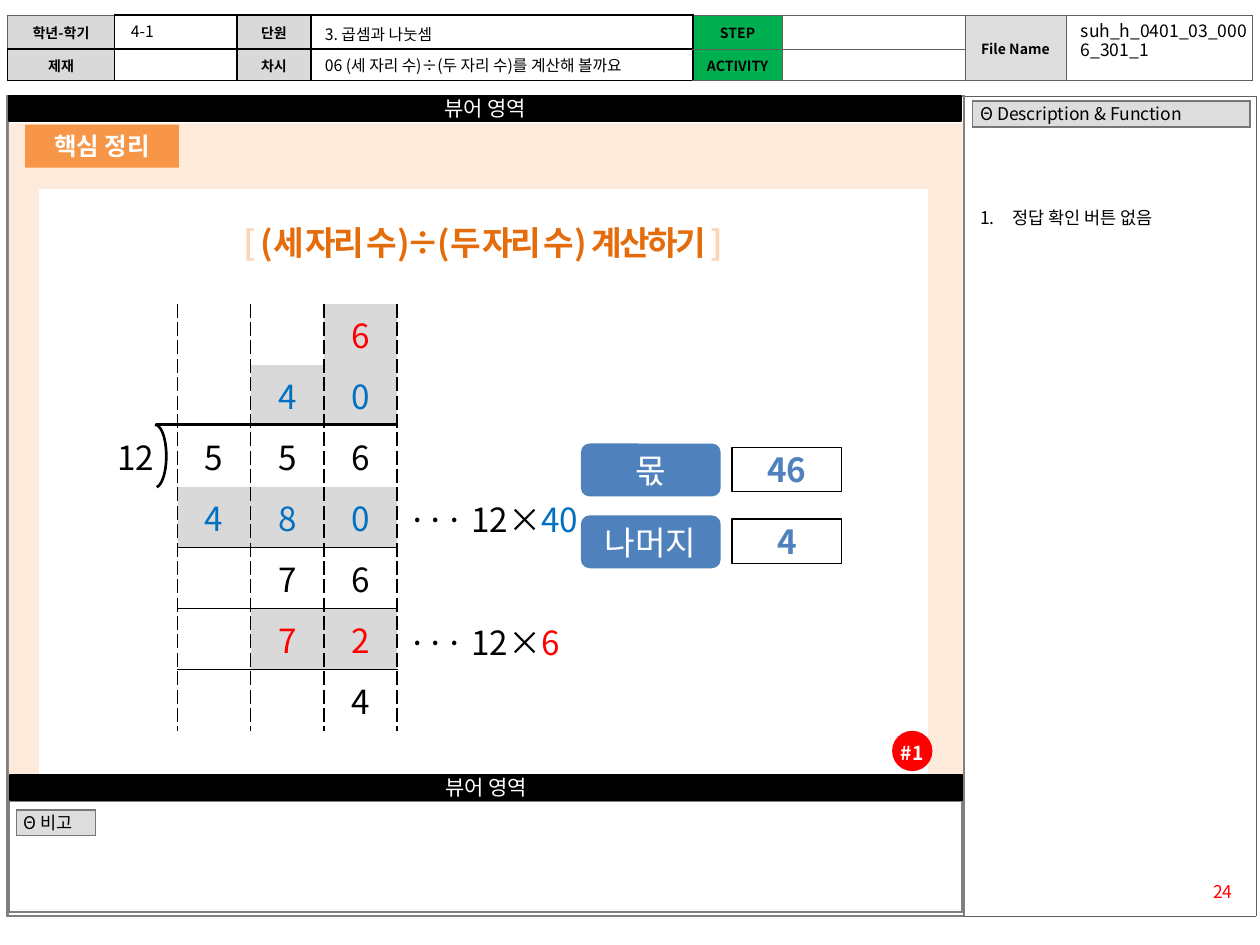
import pptx
import pptx.dml.color
import pptx.enum.shapes
import pptx.enum.text
import pptx.oxml.ns
import pptx.util
from lxml import etree
from pptx.util import Inches, Pt

FONT = "Noto Sans CJK KR"
BLACK, WHITE, GRAY = "000000", "FFFFFF", "D9D9D9"
RED, BLUE, BUTTON, GREEN = "FF0000", "0070C0", "4F81BD", "00B050"
NO_STYLE = "{2D5ABB26-0587-4C30-8999-92F81FD0307C}"
SHAPE = pptx.enum.shapes.MSO_SHAPE
ALIGN = pptx.enum.text.PP_ALIGN
ANCHOR = pptx.enum.text.MSO_ANCHOR
qn = pptx.oxml.ns.qn

HEADER_COLUMNS = [0.85, 0.97, 0.59, 3.03, 0.71, 1.45, 0.8, 1.48]
HEADER_ROWS = [0.27, 0.25]
HEADER = [
    [("학년-학기", GRAY), None, ("단원", GRAY), None, ("STEP", GREEN), None,
     ("File Name", "DDDDDD"), None],
    [("제재", GRAY), None, ("차시", GRAY), None, ("ACTIVITY", GREEN), None, None, None],
]
HEADER_VALUES = [
    ("4-1", (0.94, 0.13, 0.94, 0.24)),
    ("3. 곱셈과 나눗셈", (2.48, 0.15, 3.03, 0.24)),
    ("06 (세 자리 수)÷(두 자리 수)를 계산해 볼까요", (2.48, 0.4, 2.99, 0.24)),
]
SECTION_LABELS = [
    ("Θ 비고", (0.13, 6.43), 0.63, 0.2),
    ("Θ Description & Function", (7.72, 0.8), 2.2, 0.21),
]
VIEWER_BARS = [("뷰어 영역", (0.07, 0.76, 7.56, 0.2)), ("뷰어 영역", (0.08, 6.15, 7.56, 0.2))]
TITLE = [("[ ", "FCD5B5"), ("(세 자리 수)÷(두 자리 수) 계산하기 ", "E46C0A"), ("]", "FCD5B5")]

# Each row of the long division: cells, text colour, whether digits are shaded
DIVISION = [
    (["", "", "", "6"], RED, True),
    (["", "", "4", "0"], BLUE, True),
    (["12", "5", "5", "6"], BLACK, False),
    (["", "4", "8", "0"], BLUE, True),
    (["", "", "7", "6"], BLACK, False),
    (["", "", "7", "2"], RED, True),
    (["", "", "", "4"], BLACK, False),
]
SUBTRACTION_ROWS = (3, 5)
PRODUCTS = [("6", RED, 4.89), ("40", BLUE, 3.91)]
ANSWERS = [("몫", "46"), ("나머지", "4")]


def rgb(value):
    return pptx.dml.color.RGBColor.from_string(value)


def write_text(frame, text, size=10, color=BLACK, bold=False, align=ALIGN.LEFT,
               anchor=ANCHOR.MIDDLE, margins=(0.1, 0.05), spacing=None, tracking=None):
    """Write one paragraph; text is a string or a list of (text, colour) runs."""
    frame.word_wrap = True
    frame.vertical_anchor = anchor
    frame.margin_left = frame.margin_right = Inches(margins[0])
    frame.margin_top = frame.margin_bottom = Inches(margins[1])
    paragraph = frame.paragraphs[0]
    paragraph.alignment = align
    if spacing:
        paragraph.line_spacing = spacing
    for words, run_color in [(text, color)] if isinstance(text, str) else text:
        run = paragraph.add_run()
        run.text = words
        run.font.name, run.font.size, run.font.bold = FONT, Pt(size), bold
        run.font.color.rgb = rgb(run_color)
        properties = run.font._element
        etree.SubElement(properties, qn("a:ea"), typeface=FONT)
        if tracking:
            properties.set("spc", str(int(tracking * 100)))
    return paragraph


def add_box(shapes, place, text="", kind=SHAPE.RECTANGLE, fill=None, line=None,
            weight=1, **text_format):
    shape = shapes.add_shape(kind, *map(Inches, place))
    shape.shadow.inherit = False
    if fill:
        shape.fill.solid()
        shape.fill.fore_color.rgb = rgb(fill)
    else:
        shape.fill.background()
    if line:
        shape.line.color.rgb = rgb(line)
        shape.line.width = Pt(weight)
    else:
        shape.line.fill.background()
    if text:
        write_text(shape.text_frame, text, **{"align": ALIGN.CENTER, **text_format})
    return shape


def add_label(shapes, place, text, **text_format):
    label = shapes.add_textbox(*map(Inches, place))
    return write_text(label.text_frame, text, **text_format)


def add_grid(shapes, position, columns, rows):
    """Add a table without a style."""
    size = Inches(sum(columns)), Inches(sum(rows))
    table = shapes.add_table(len(rows), len(columns), *map(Inches, position), *size).table
    table.first_row = table.horz_banding = False
    table._tbl.tblPr.find(qn("a:tableStyleId")).text = NO_STYLE
    for column, width in zip(table.columns, columns):
        column.width = Inches(width)
    for row, height in zip(table.rows, rows):
        row.height = Inches(height)
    return table


def fill_cell(cell, text="", borders=None, fill=None, margin=0.1, **text_format):
    """Borders map a side (L, R, T, B) to (colour, points, dash)."""
    properties = cell._tc.get_or_add_tcPr()
    for side in "LRTB":
        if borders and side in borders:
            color, points, dash = borders[side]
            line = etree.SubElement(properties, qn("a:ln" + side), w=str(int(Pt(points))))
            solid = etree.SubElement(line, qn("a:solidFill"))
            etree.SubElement(solid, qn("a:srgbClr"), val=color)
            etree.SubElement(line, qn("a:prstDash"), val=dash)
    if fill:
        cell.fill.solid()
        cell.fill.fore_color.rgb = rgb(fill)
    else:
        cell.fill.background()
    cell.vertical_anchor = ANCHOR.MIDDLE
    if text:
        write_text(cell.text_frame, text, **text_format)
    else:
        etree.SubElement(cell.text_frame.paragraphs[0]._p, qn("a:endParaRPr"), sz="800")
    cell.margin_left = cell.margin_right = Inches(margin)
    cell.margin_top = cell.margin_bottom = 0


def all_sides(color, points):
    return dict.fromkeys("LRTB", (color, points, "solid"))


def add_frame(shapes):
    outer = add_grid(shapes, (0.06, 0.76), [7.59, 2.32], [6.51])
    fill_cell(outer.cell(0, 0), borders=all_sides("808080", 1.5))
    fill_cell(outer.cell(0, 1), borders={**all_sides("5F5F5F", 0.25), "L": ("808080", 1.5, "solid")})

    header = add_grid(shapes, (0.06, 0.12), HEADER_COLUMNS, HEADER_ROWS)
    for column in (6, 7):
        header.cell(0, column).merge(header.cell(1, column))
    for r, row in enumerate(HEADER):
        for c, entry in enumerate(row):
            text, fill = entry or ("", None)
            thin = c > 3 or r == c == 0
            fill_cell(header.cell(r, c), text, fill=fill, size=8, bold=True, align=ALIGN.CENTER,
                      borders=all_sides("5F5F5F", 0.25) if thin else all_sides(BLACK, 1))

    notes = add_grid(shapes, (0.07, 6.36), [7.57], [0.88])
    fill_cell(notes.cell(0, 0), borders=all_sides("808080", 1.5))
    add_box(shapes, (0.07, 0.98, 7.57, 5.17), fill="FDEADA")
    add_box(shapes, (0.32, 1.51, 7.04, 4.63), fill=WHITE, line=WHITE)
    for text, place in VIEWER_BARS:
        add_box(shapes, place, text, fill=BLACK, line=BLACK, size=12, color=WHITE, margins=(0.1, 0))
    for text, position, width, height in SECTION_LABELS:
        label = add_grid(shapes, position, [width], [height])
        fill_cell(label.cell(0, 0), text, borders=all_sides("777777", 1), fill="DDDDDD",
                  margin=0.06, spacing=0.9)
    for text, place in HEADER_VALUES:
        add_label(shapes, place, text, size=9, margins=(0.1, 0))
    add_label(shapes, (8.48, 0.13, 1.52, 0.44), "suh_h_0401_03_0006_301_1",
              align=ALIGN.JUSTIFY, anchor=ANCHOR.TOP, spacing=0.9)
    add_label(shapes, (9.21, 6.94, 0.67, 0.27), "24", color=RED, align=ALIGN.RIGHT)


def add_division(shapes):
    table = add_grid(shapes, (0.83, 2.41), [0.58] * 4, [3.39 / 7] * 7)
    dashed, solid = (BLACK, 1, "sysDash"), (BLACK, 1, "solid")
    for r, (digits, color, shaded) in enumerate(DIVISION):
        for c, digit in enumerate(digits):
            borders = {"R": dashed}
            if c:
                borders["L"] = dashed
                if r in SUBTRACTION_ROWS:
                    borders["B"] = solid
                if r - 1 in SUBTRACTION_ROWS:
                    borders["T"] = solid
            fill_cell(table.cell(r, c), digit, borders, GRAY if shaded and digit else None,
                      size=19, color=color, align=ALIGN.CENTER if c else ALIGN.LEFT)
    for factor, color, top in PRODUCTS:
        add_label(shapes, (3.14, top, 1.9, 0.42), [("··· 12×", BLACK), (factor, color)], size=19)

    bracket = shapes.add_group_shape().shapes
    arc = add_box(bracket, (1.14, 3.37, 0.18, 0.5), kind=SHAPE.ARC, line=BLACK, weight=1.5)
    arc.adjustments[0], arc.adjustments[1] = 162, 52.05
    bar = bracket.add_connector(pptx.enum.shapes.MSO_CONNECTOR.STRAIGHT,
                                *map(Inches, (1.24, 3.37, 3.15, 3.37)))
    bar.line.color.rgb = rgb(BLACK)
    bar.line.width = Pt(1.5)
    etree.SubElement(bar._element.spPr, qn("a:effectLst"))


def main():
    presentation = pptx.Presentation()
    presentation.slide_width, presentation.slide_height = Inches(10), Inches(7.5)
    slide = presentation.slides.add_slide(presentation.slide_layouts[5])
    shapes = slide.shapes
    add_frame(shapes)

    title = shapes.title
    title.left, title.top, title.width, title.height = map(Inches, (0.43, 1.71, 6.81, 0.42))
    write_text(title.text_frame, TITLE, size=19, bold=True, align=ALIGN.CENTER, tracking=-1.5)
    title.element.getparent().append(title.element)  # in front of the white panel

    note = add_label(shapes, (7.68, 1.59, 2.32, 0.3), "정답 확인 버튼 없음", anchor=ANCHOR.TOP)
    note_properties = note._p.get_or_add_pPr()
    note_properties.set("marL", str(Inches(0.26)))
    note_properties.set("indent", str(-Inches(0.26)))
    etree.SubElement(note_properties, qn("a:buFont"), typeface=FONT)
    etree.SubElement(note_properties, qn("a:buAutoNum"), type="arabicPeriod")

    add_box(shapes, (0.2, 0.99, 1.22, 0.34), "핵심 정리", fill="F79646", size=14, color=WHITE,
            bold=True, margins=(0.1, 0))
    add_box(shapes, (7.08, 5.8, 0.32, 0.32), "#1", kind=SHAPE.OVAL, fill=RED, size=11,
            color=WHITE, bold=True, margins=(0, 0), spacing=1.2)
    add_division(shapes)
    for index, (name, value) in enumerate(ANSWERS):
        top = 3.52 + 0.57 * index
        add_box(shapes, (5.81, top + 0.03, 0.87, 0.35), value, line=BLACK, weight=0.75,
                size=19, color=BUTTON, bold=True, margins=(0.1, 0))
        add_box(shapes, (4.61, top, 1.11, 0.42), name, kind=SHAPE.ROUNDED_RECTANGLE,
                fill=BUTTON, size=19, color=WHITE, margins=(0.1, 0))
    presentation.save("out.pptx")


if __name__ == "__main__":
    main()
